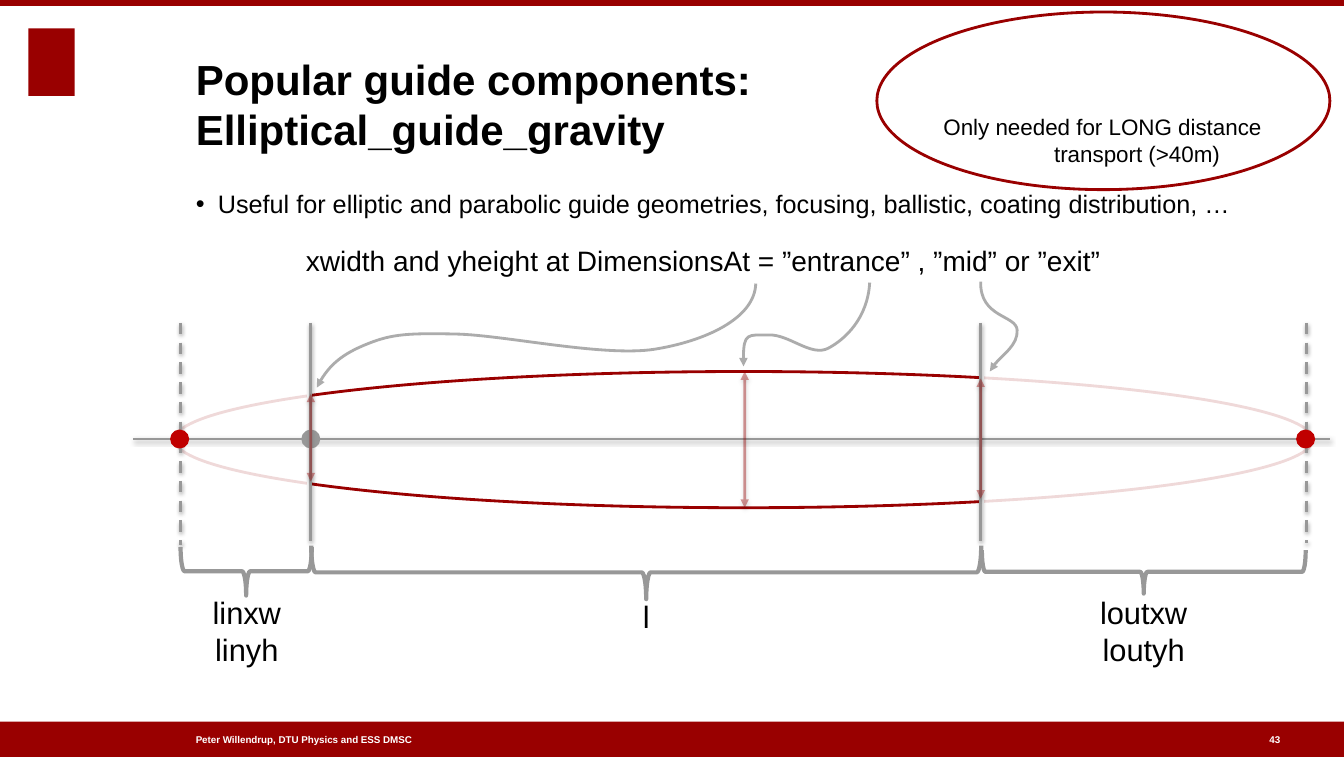
from dataclasses import dataclass

from lxml.etree import SubElement
from pptx import Presentation
from pptx.dml.color import RGBColor
from pptx.enum.dml import MSO_LINE
from pptx.enum.shapes import MSO_CONNECTOR, MSO_SHAPE
from pptx.enum.text import MSO_ANCHOR, MSO_AUTO_SIZE, PP_ALIGN
from pptx.oxml.ns import qn
from pptx.util import Pt


@dataclass(frozen=True)
class Theme:
    font: str = "Arial"
    red: str = "990000"
    focus: str = "C00000"
    gray: str = "989898"
    white: str = "FFFFFF"
    black: str = "000000"
    title: int = 30
    label: int = 22
    formula: int = 20
    body: int = 18
    callout: int = 16
    footer: int = 7


THEME = Theme()
AXIS_Y = 313.2
ENTRANCE_X, MIDDLE_X, EXIT_X = 221.8, 531.4, 699.8
FOCUS_IN_X, FOCUS_OUT_X = 128.9, 932.4
DOT = 11.5

POINTERS = {
    "entrance": [(539.3, 202.3), (538.6, 227.5), (502.6, 243.4), (467.3, 249.1),
                 (431.3, 254.9), (359.3, 239), (325.4, 238.3),
                 (291.6, 237.6), (280.1, 238.3), (263.5, 244.8),
                 (247, 251.3), (234, 259.9), (226.1, 276.5)],
    "mid": [(620.6, 201.6), (619.2, 226.8), (603.4, 241.9), (591.1, 248.4),
            (578.9, 254.9), (563, 238.3), (548.6, 239),
            (533.5, 239), (529.9, 236.9), (530.6, 261.4)],
    "exit": [(699.8, 200.9), (699.1, 226.8), (725, 224.6), (725.8, 235.4),
             (726.5, 246.2), (709.9, 257), (706.3, 265)],
}


def rgb(color):
    return RGBColor.from_string(color)


def set_opacity(element, percent):
    color = element.find(".//" + qn("a:srgbClr"))
    SubElement(color, qn("a:alpha"), val=str(percent * 1000))


def style_line(line, color, width=2, opacity=100, head=False, tail=False):
    line.color.rgb = rgb(color)
    line.width = Pt(width)
    properties = line._get_or_add_ln()
    if opacity < 100:
        set_opacity(properties, opacity)
    for tag, shown in (("a:headEnd", head), ("a:tailEnd", tail)):
        if shown:
            SubElement(properties, qn(tag), type="triangle")


def place(shape, left, top, width, height):
    shape.left, shape.top = Pt(left), Pt(top)
    shape.width, shape.height = Pt(width), Pt(height)


def write_text(frame, text, size, color=THEME.black, bold=False, align=PP_ALIGN.LEFT,
               anchor=MSO_ANCHOR.TOP, wrap=True, indents=(0,), bullet=None):
    frame.auto_size = MSO_AUTO_SIZE.NONE
    frame.word_wrap = wrap
    frame.vertical_anchor = anchor
    frame.margin_left = frame.margin_right = frame.margin_top = frame.margin_bottom = 0
    frame.text = text
    for paragraph, indent in zip(frame.paragraphs, indents):
        paragraph.alignment = align
        paragraph.space_before = Pt(0)
        properties = paragraph._p.get_or_add_pPr()
        properties.set("marL", str(Pt(indent)))
        properties.set("indent", str(-Pt(indent) if bullet else 0))
        if bullet:
            SubElement(properties, qn("a:buChar"), char=bullet)
        for run in paragraph.runs:
            run.font.name = THEME.font
            run.font.size = Pt(size)
            run.font.bold = bold
            run.font.color.rgb = rgb(color)


def add_text(slide, box, text, size, **text_format):
    shape = slide.shapes.add_textbox(*map(Pt, box))
    write_text(shape.text_frame, text, size, **text_format)


def add_preset(slide, kind, box, fill=None, line=None, width=2, opacity=100):
    shape = slide.shapes.add_shape(kind, *map(Pt, box))
    shape.shadow.inherit = False
    if fill:
        shape.fill.solid()
        shape.fill.fore_color.rgb = rgb(fill)
        if opacity < 100:
            set_opacity(shape.fill._xPr.find(qn("a:solidFill")), opacity)
    else:
        shape.fill.background()
    if line:
        style_line(shape.line, line, width)
    else:
        shape.line.fill.background()
    return shape


def add_line(slide, start, end, color=THEME.gray, dashed=False, **line_format):
    connector = slide.shapes.add_connector(MSO_CONNECTOR.STRAIGHT, *map(Pt, start + end))
    if dashed:
        connector.line.dash_style = MSO_LINE.DASH
    style_line(connector.line, color, **line_format)
    effects = SubElement(connector._element.spPr, qn("a:effectLst"))
    shadow = SubElement(effects, qn("a:outerShdw"), blurRad=str(Pt(3)),
                        dist=str(Pt(1.6)), dir="5400000", rotWithShape="0")
    SubElement(shadow, qn("a:srgbClr"), val=THEME.black)
    set_opacity(shadow, 38)


def add_dot(slide, x, color):
    box = (x - DOT / 2, AXIS_Y - DOT / 2, DOT, DOT)
    add_preset(slide, MSO_SHAPE.OVAL, box, color, color)


def add_brace(slide, left, top, span, depth):
    box = (left + (span - depth) / 2, top - (span - depth) / 2, depth, span)
    brace = add_preset(slide, MSO_SHAPE.LEFT_BRACE, box, line=THEME.gray, width=3)
    brace.rotation = 270


def add_pointer(slide, points):
    start, *controls = [(Pt(x), Pt(y)) for x, y in points]
    builder = slide.shapes.build_freeform(*start)
    builder.add_line_segments(controls, close=False)
    shape = builder.convert_to_shape()
    outline = shape._element.find(".//" + qn("a:path"))
    segments = outline.findall(qn("a:lnTo"))
    for first in range(0, len(segments), 3):
        curve = SubElement(outline, qn("a:cubicBezTo"))
        for segment in segments[first:first + 3]:
            curve.append(segment[0])
            outline.remove(segment)
    shape.fill.background()
    shape.shadow.inherit = False
    style_line(shape.line, THEME.gray, opacity=80, tail=True)


def add_frame(slide):
    add_preset(slide, MSO_SHAPE.RECTANGLE, (20.2, 20.2, 33.1, 48.2), THEME.red)
    for box in ((0, 514.8, 959.04, 25.2), (0, 0, 959.04, 4.3)):
        add_preset(slide, MSO_SHAPE.RECTANGLE, box, THEME.red)
    for text, left, width in (("Peter Willendrup, DTU Physics and ESS DMSC", 139.7, 267.8),
                              ("43", 905.8, 10.1)):
        add_text(slide, (left, 522.7, width, 10.1), text, THEME.footer, color=THEME.white,
                 bold=True, anchor=MSO_ANCHOR.MIDDLE, wrap=False)


def add_guide(slide):
    add_preset(slide, MSO_SHAPE.OVAL, (124.6, 265, 812.2, 97.2), THEME.white, THEME.red)
    for box in ((105.8, 216, 114.5, 186.5), (701.3, 210.2, 270, 195.1)):
        add_preset(slide, MSO_SHAPE.RECTANGLE, box, THEME.white, THEME.white, opacity=85)
    add_line(slide, (95, AXIS_Y), (949, AXIS_Y))
    for x, bottom, dashed in ((ENTRANCE_X, 385.9, False), (EXIT_X, 385.9, False),
                              (FOCUS_OUT_X, 387.4, True), (FOCUS_IN_X, 388.8, True)):
        add_line(slide, (x, 230.4), (x, bottom), dashed=dashed)
    for brace in ((222.1, 389.2, 478.1, 38.2), (700.6, 392.4, 231.1, 31),
                  (128.9, 390.2, 93.6, 34.6)):
        add_brace(slide, *brace)
    for x, color in ((128.2, THEME.focus), (931.7, THEME.focus), (ENTRANCE_X, THEME.gray)):
        add_dot(slide, x, color)
    for text, left, top, height in (("linxw\vlinyh", 128.2, 423.4, 51.1),
                                    ("l", 413.3, 426.2, 25.2),
                                    ("loutxw\vloutyh", 768.2, 423.4, 51.1)):
        add_text(slide, (left, top, 95.8, height), text, THEME.label, align=PP_ALIGN.CENTER)
    for x, top, bottom in ((MIDDLE_X, 265, 362.2), (EXIT_X, 270, 355.7),
                           (ENTRANCE_X, 280.8, 343.4)):
        add_line(slide, (x, top), (x, bottom), THEME.red, opacity=40, head=True, tail=True)


def main():
    presentation = Presentation()
    presentation.slide_width, presentation.slide_height = Pt(959.04), Pt(540)
    slide = presentation.slides.add_slide(presentation.slide_layouts[1])
    title, body = slide.placeholders
    place(title, 139.7, 33.8, 733, 76.3)
    write_text(title.text_frame, "Popular guide components: Elliptical_guide_gravity",
               THEME.title, bold=True, anchor=MSO_ANCHOR.BOTTOM)
    place(body, 139.7, 134.6, 764.6, 357.8)
    write_text(body.text_frame, "Useful for elliptic and parabolic guide geometries, focusing, "
               "ballistic, coating distribution, …", THEME.body, indents=(15.8,), bullet="•")
    add_frame(slide)
    add_guide(slide)
    add_text(slide, (218.2, 173.5, 652.3, 22.3),
             "xwidth and yheight at DimensionsAt = ”entrance” , ”mid” or ”exit”", THEME.formula)
    for points in POINTERS.values():
        add_pointer(slide, points)
    add_preset(slide, MSO_SHAPE.OVAL, (625.7, 8.6, 323.3, 126.7), THEME.white, THEME.red)
    add_text(slide, (673.2, 80.6, 229, 35.3), "Only needed for LONG distance\ntransport (>40m)",
             THEME.callout, wrap=False, indents=(0, 79))
    presentation.save("out.pptx")


if __name__ == "__main__":
    main()
